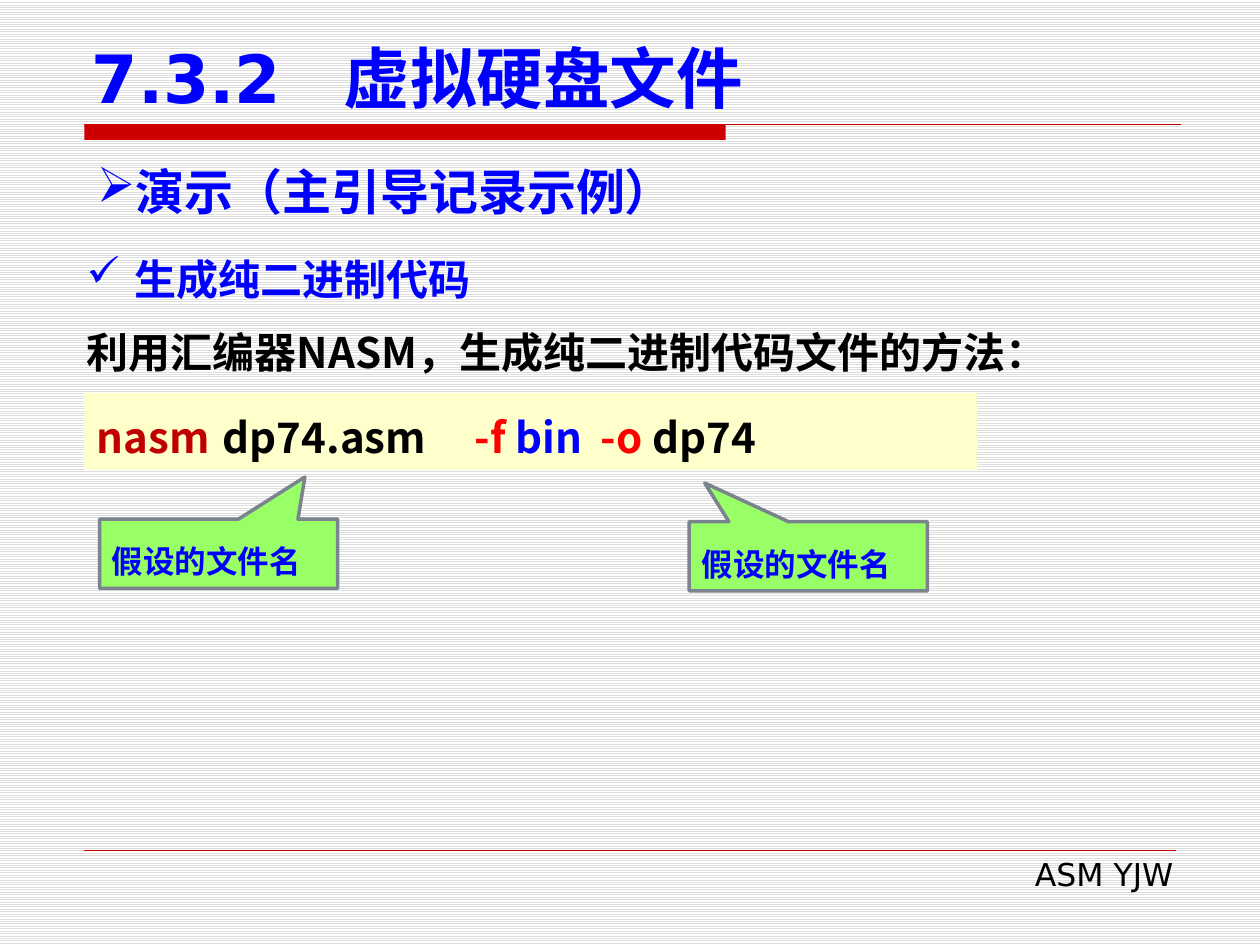
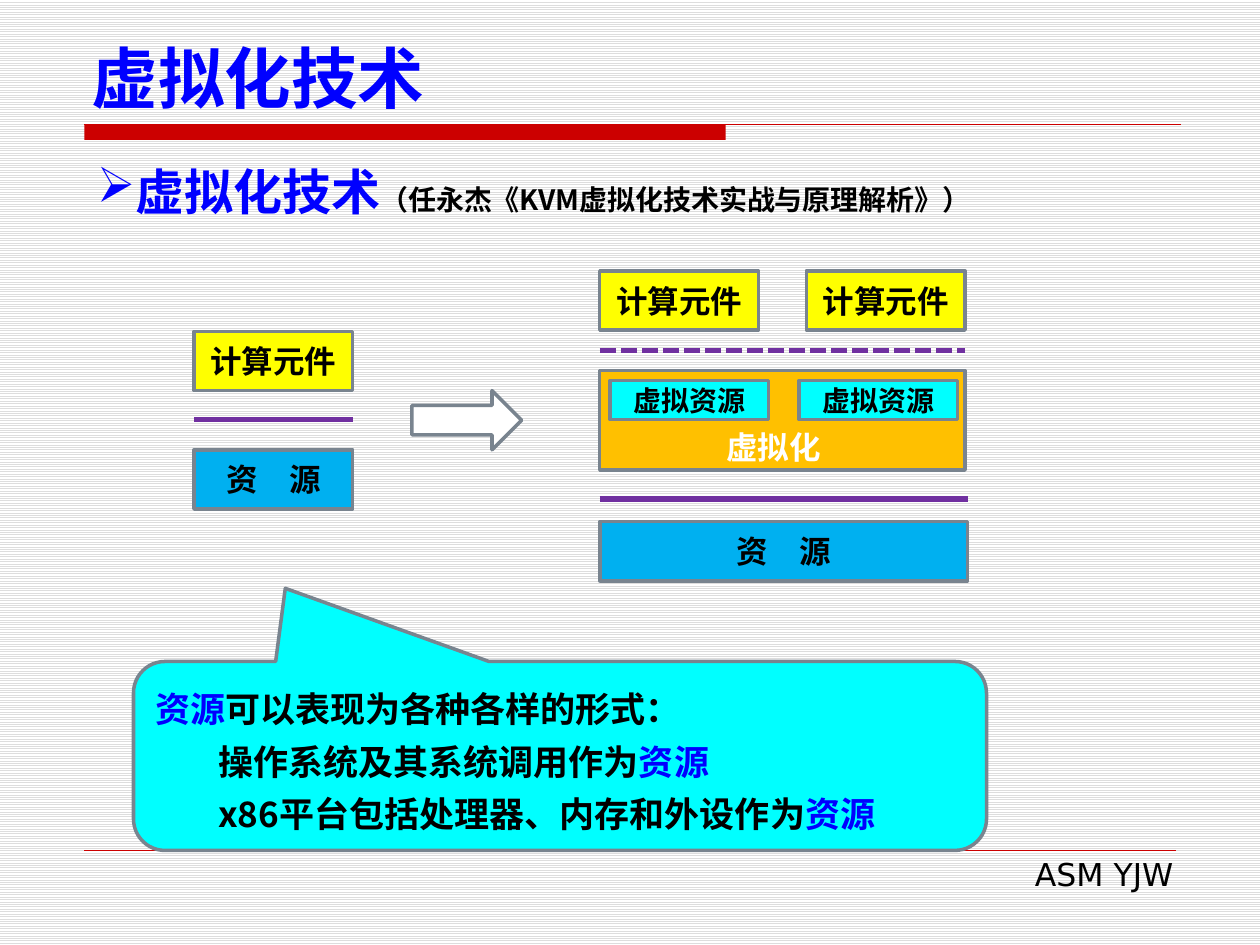
from collections import namedtuple

from lxml.etree import SubElement
from pptx import Presentation
from pptx.dml.color import RGBColor
from pptx.enum.dml import MSO_LINE, MSO_PATTERN
from pptx.enum.shapes import MSO_CONNECTOR, MSO_SHAPE
from pptx.enum.text import MSO_ANCHOR, MSO_AUTO_SIZE, PP_ALIGN
from pptx.oxml.ns import qn
from pptx.util import Inches, Pt

# Shared style
LATIN, CJK = "DejaVu Sans", "Noto Sans CJK SC"
BLACK, WHITE, BLUE = "000000", "FFFFFF", "0000FF"
RED, BRIGHT_RED, DARK_RED = "CC0000", "FF0000", "C00000"
YELLOW, CREAM, ORANGE = "FFFF00", "FFFFCC", "FFC000"
GREEN, CYAN, SKY = "99FF66", "00FFFF", "00B0F0"
PURPLE, OUTLINE, STRIPE = "7030A0", "79848F", "DDDDDD"

# The slide is a grid of 100 columns by 75 rows
prs = Presentation()
prs.slide_width, prs.slide_height = Inches(10), Inches(7.5)
CELL = prs.slide_width // 100


class Box(namedtuple("Box", "left top width height")):
    """An area in grid cells."""

    def inner(self, left, top, width, height):
        return Box(self.left + left, self.top + top, width, height)

    def emu(self):
        return [round(cells * CELL) for cells in self]


def paint(colour_format, colour):
    colour_format.rgb = RGBColor.from_string(colour)


def add_block(shapes, box, fill, kind=MSO_SHAPE.RECTANGLE, outline=OUTLINE, adjust=()):
    block = shapes.add_shape(kind, *box.emu())
    block.shadow.inherit = False
    block.fill.solid()
    paint(block.fill.fore_color, fill)
    if outline:
        paint(block.line.color, outline)
        block.line.width = Pt(2)
    else:
        block.line.fill.background()
    for index, value in enumerate(adjust):
        block.adjustments[index] = value
    block.text_frame.word_wrap = True
    return block


def add_text_area(shapes, box, grow=True):
    area = shapes.add_textbox(*box.emu())
    area.text_frame.word_wrap = True
    if grow:
        area.text_frame.auto_size = MSO_AUTO_SIZE.SHAPE_TO_FIT_TEXT
    return area


def add_rule(shapes, box, colour, width, dash=None):
    """Horizontal line along the top of a box."""
    left, top, length, _ = box.emu()
    rule = shapes.add_connector(MSO_CONNECTOR.STRAIGHT, left, top, left + length, top)
    paint(rule.line.color, colour)
    rule.line.width = Pt(width)
    if dash:
        rule.line.dash_style = dash
    SubElement(rule._element.spPr, qn("a:effectLst"))


def write(shape, *runs, size=18, font=LATIN, colour=BLACK, bold=True, align=PP_ALIGN.LEFT,
          leading=None, before=0, bullet=None, margin=0, hanging=0, level=0, tabs=()):
    """Add one paragraph; a run is text or (text, format changes)."""
    frame = shape.text_frame
    paragraph = frame.add_paragraph() if frame.text else frame.paragraphs[0]
    paragraph.alignment, paragraph.level = align, level
    paragraph.space_before = Pt(before)
    if leading:
        paragraph.line_spacing = Pt(leading)
    properties = paragraph._p.get_or_add_pPr()
    properties.set("marL", str(Inches(margin)))
    properties.set("indent", str(-Inches(hanging)))
    if bullet:
        SubElement(properties, qn("a:buChar"), char=bullet)
    else:
        SubElement(properties, qn("a:buNone"))
    if tabs:
        stops = SubElement(properties, qn("a:tabLst"))
        for stop in tabs:
            SubElement(stops, qn("a:tab"), pos=str(Inches(stop)), algn="l")
    for piece in runs:
        words, changes = (piece, {}) if isinstance(piece, str) else piece
        run = paragraph.add_run()
        run.text = words
        run.font.size = Pt(changes.get("size", size))
        run.font.bold = bold
        run.font.name = changes.get("font", font)
        paint(run.font.color, changes.get("colour", colour))
        SubElement(run._r.get_or_add_rPr(), qn("a:ea"), typeface=CJK)


def tint(words, colour):
    return words, {"colour": colour}


def add_label(shapes, box, words, fill, size=18):
    """Outlined block with a centred label."""
    block = add_block(shapes, box, fill)
    block.text_frame.vertical_anchor = MSO_ANCHOR.MIDDLE
    write(block, words, size=size, align=PP_ALIGN.CENTER)


def add_page(title):
    """Blank slide with title, red band and footer."""
    shapes = prs.slides.add_slide(prs.slide_layouts[6]).shapes
    page = Box(6.7, 0, 87, 75)
    band = page.inner(0, 9.9, 50.9, 1.2)
    add_block(shapes, band, RED, outline=None)
    add_rule(shapes, page.inner(0, 9.9, 87, 0), RED, 0.75)
    add_rule(shapes, page.inner(0, 67.5, 86.6, 0), RED, 0.25)
    footer = add_text_area(shapes, page.inner(31.5, 67.4, 55.9, 4))
    write(footer, "ASM YJW", bold=False, align=PP_ALIGN.RIGHT)
    heading = add_text_area(shapes, page.inner(-0.4, 3.3, 87.5, 6.6), grow=False)
    frame = heading.text_frame
    frame.vertical_anchor = MSO_ANCHOR.MIDDLE
    frame.margin_top, frame.margin_bottom = 0, Inches(0.1)
    write(heading, title, size=38, colour=BLUE, tabs=[1.98])
    return shapes


def add_topic(shapes, box, *runs):
    topic = add_text_area(shapes, box)
    write(topic, *runs, size=28, colour=BLUE, align=PP_ALIGN.JUSTIFY, bullet="➢")


def add_command(shapes, box):
    """Command line with a callout under each file name."""
    command = add_block(shapes, box, CREAM, outline=None)
    command.text_frame.vertical_anchor = MSO_ANCHOR.TOP
    command.text_frame.auto_size = MSO_AUTO_SIZE.SHAPE_TO_FIT_TEXT
    write(command, tint("nasm\t", DARK_RED), "dp74.asm\t", tint("-f ", BRIGHT_RED),
          tint("bin\t", BLUE), tint("-o ", BRIGHT_RED), "dp74",
          size=24, font=CJK, leading=36, tabs=[1.05, 2.81, 3.82])
    for left, top, pointer in ((1.2, 10, (0.362, -1.108)), (48, 10.2, (-0.435, -1.058))):
        note = add_block(shapes, box.inner(left, top, 18.9, 5.5), GREEN,
                         MSO_SHAPE.RECTANGULAR_CALLOUT, adjust=pointer)
        note.text_frame.vertical_anchor = MSO_ANCHOR.MIDDLE
        write(note, "假设的文件名", colour=BLUE, leading=30)


COMPUTING, RESOURCE, VIRTUAL = "计算元件", "资\u3000源", "虚拟资源"
UNIT_WIDTH, UNIT_HEIGHT = 12.6, 4.7


def add_plain_stack(shapes, box):
    """Computing element directly on a resource."""
    add_label(shapes, box.inner(0, 0, box.width, UNIT_HEIGHT), COMPUTING, YELLOW)
    add_rule(shapes, box.inner(0, 7, box.width, 0), PURPLE, 3)
    add_label(shapes, box.inner(0, 2 * UNIT_HEIGHT, box.width, UNIT_HEIGHT), RESOURCE, SKY)


def add_virtual_stack(shapes, box):
    """Computing elements on virtual resources over one real resource."""
    add_label(shapes, box.inner(0, 19.9, box.width, UNIT_HEIGHT), RESOURCE, SKY)
    add_rule(shapes, box.inner(0, 18.1, box.width, 0), PURPLE, 3)
    layer = box.inner(0, 7.9, 29, 7.9)
    add_block(shapes, layer, ORANGE)
    add_rule(shapes, box.inner(0, 6.3, layer.width, 0), PURPLE, 3, MSO_LINE.SQUARE_DOT)
    for left in (0, layer.width - UNIT_WIDTH):
        add_label(shapes, box.inner(left, 0, UNIT_WIDTH, UNIT_HEIGHT), COMPUTING, YELLOW)
    for left in (0.8, 15.8):
        add_label(shapes, layer.inner(left, 0.8, UNIT_WIDTH, 3.1), VIRTUAL, CYAN, size=16)
    name = add_text_area(shapes, layer.inner(7.9, 4.1, 11.8, 4))
    write(name, "虚拟化", colour=WHITE, align=PP_ALIGN.CENTER)


def add_diagram(shapes, box):
    """Plain stack, arrow, virtualised stack."""
    members = shapes.add_group_shape().shapes
    add_block(members, box.inner(17.3, 9.5, 8.7, UNIT_HEIGHT), WHITE, MSO_SHAPE.RIGHT_ARROW)
    add_plain_stack(members, box.inner(0, 4.8, UNIT_WIDTH, 3 * UNIT_HEIGHT))
    add_virtual_stack(members, box.inner(32.2, 0, 29.2, box.height))


def add_resource_note(shapes, box):
    note = add_block(shapes, box, CYAN, MSO_SHAPE.ROUNDED_RECTANGULAR_CALLOUT,
                     adjust=(-0.322, -0.887, 0.167))
    note.text_frame.vertical_anchor = MSO_ANCHOR.MIDDLE
    style = dict(size=20, font=CJK, leading=30)
    resource = tint("资源", BLUE)
    write(note, resource, "可以表现为各种各样的形式：", **style)
    for example in ("操作系统及其系统调用作为", "x86平台包括处理器、内存和外设作为"):
        write(note, example, resource, level=1, margin=0.5, **style)


# Striped background for all slides
stripes = prs.slide_master.background.fill
stripes.patterned()
stripes.pattern = MSO_PATTERN.LIGHT_HORIZONTAL
paint(stripes.fore_color, STRIPE)
paint(stripes.back_color, WHITE)

TOPIC = Box(6.7, 12.3, 86.6, 5.7)

# Virtual disk file
disk = add_page("7.3.2\t虚拟硬盘文件")
add_topic(disk, TOPIC, "演示（主引导记录示例）")
method = add_text_area(disk, Box(5.9, 18.6, 86.6, 11.9))
write(method, "生成纯二进制代码", size=24, font=CJK, colour=BLUE, leading=36,
      bullet="✓", margin=0.38, hanging=0.38)
write(method, "利用汇编器NASM，生成纯二进制代码文件的方法：", size=24, font=CJK,
      leading=36, before=6)
add_command(disk, Box(6.7, 31.2, 70.9, 6.1))

# Virtualisation
virtualisation = add_page("虚拟化技术")
add_topic(virtualisation, TOPIC, "虚拟化技术",
          ("（任永杰《KVM虚拟化技术实战与原理解析》）",
           {"size": 16, "font": CJK, "colour": BLACK}))
add_diagram(virtualisation, Box(15.4, 21.5, 61.4, 24.6))
add_resource_note(virtualisation, Box(10.6, 52.5, 67.7, 15))

prs.save("out.pptx")
